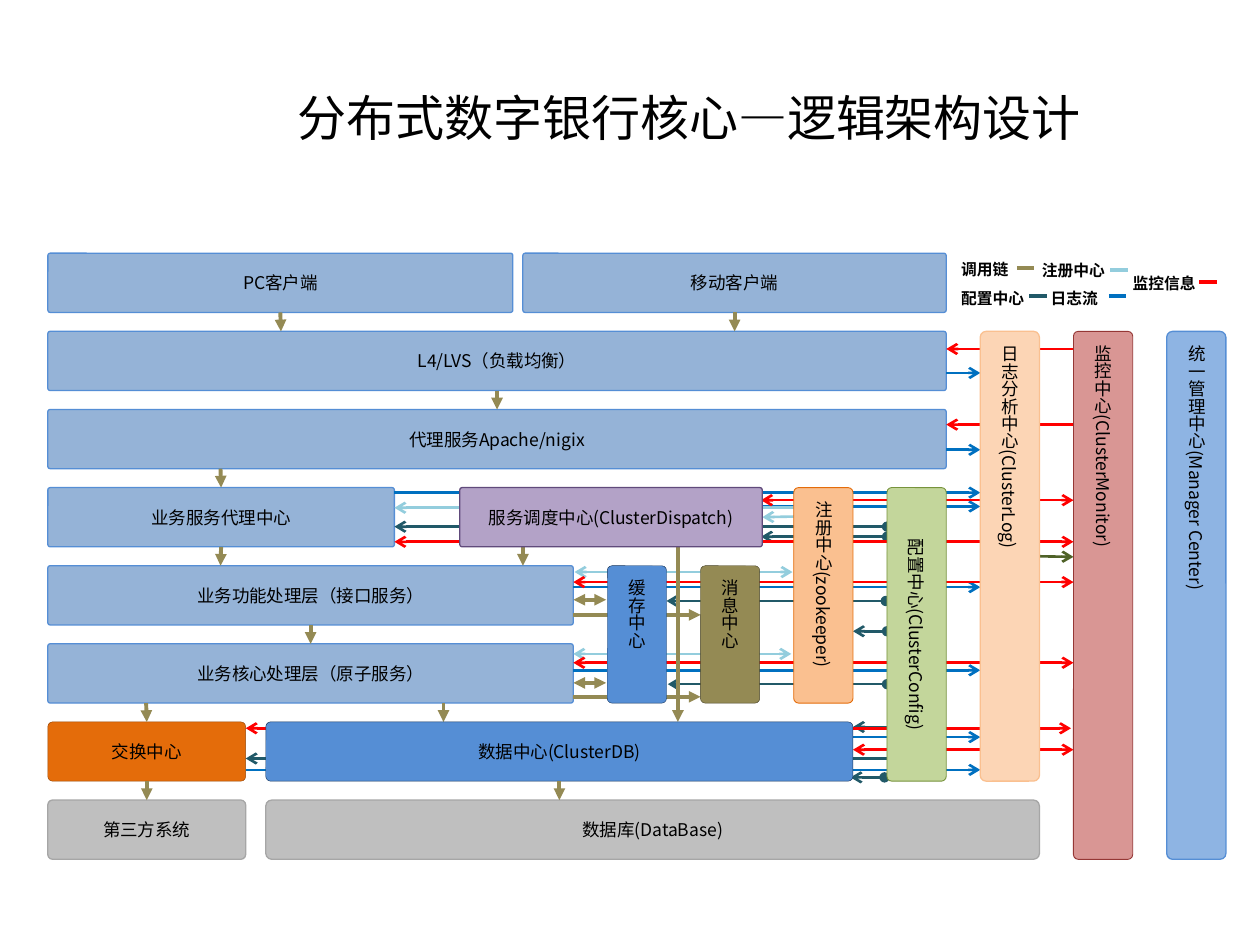
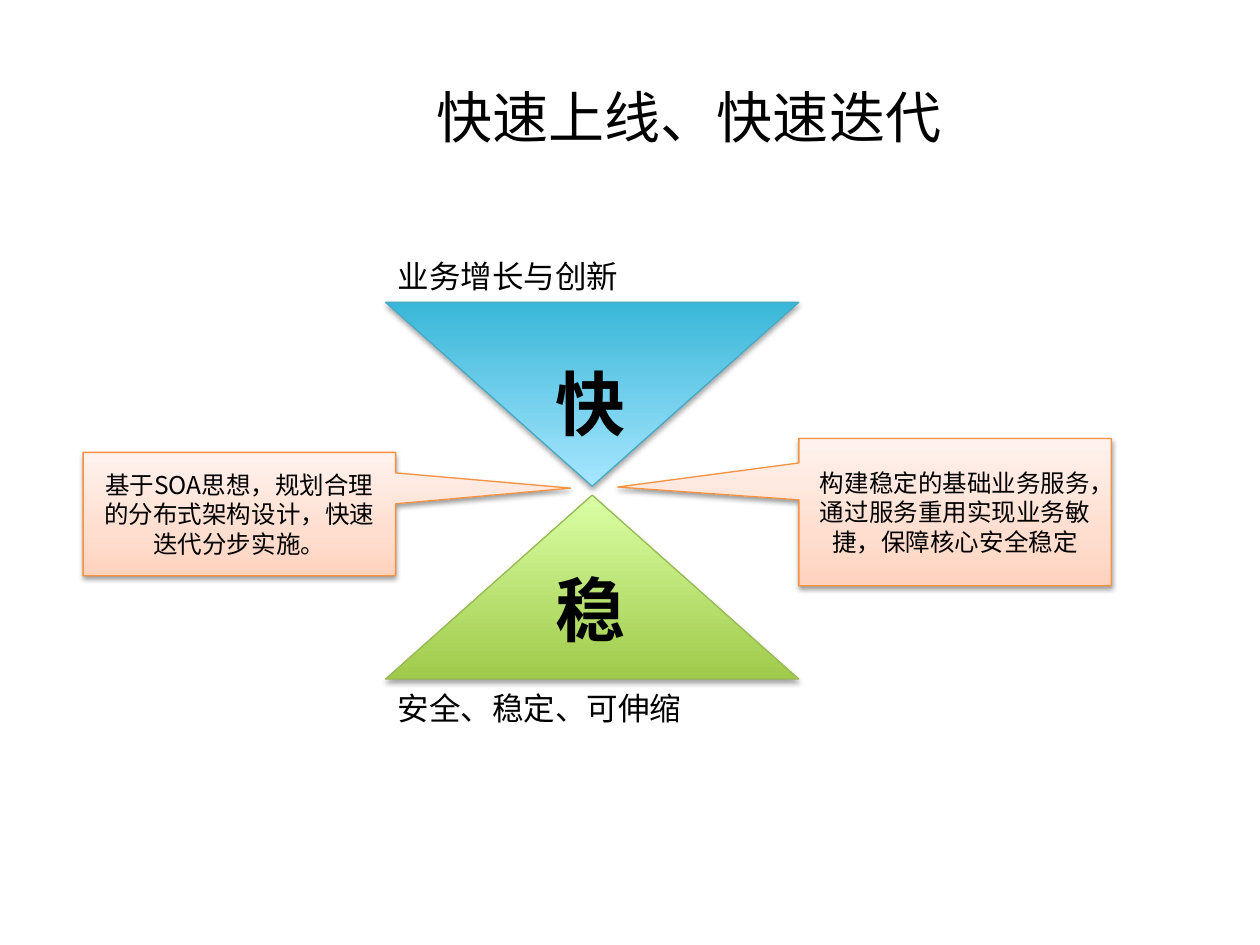
from copy import deepcopy
from lxml import etree
from pptx import Presentation, util as u
from pptx.dml.color import RGBColor
from pptx.enum import shapes, text
from pptx.oxml.ns import qn

FONT = "Noto Sans CJK SC"
BLACK = RGBColor(0x00, 0x00, 0x00)
STEEL = RGBColor(0x95, 0xB3, 0xD7)
BLUE = RGBColor(0x55, 0x8E, 0xD5)
SKY = RGBColor(0x8E, 0xB4, 0xE3)
NAVY = RGBColor(0x17, 0x37, 0x5E)
GREY = RGBColor(0xBF, 0xBF, 0xBF)
ASH = RGBColor(0xA6, 0xA6, 0xA6)
ROSE = RGBColor(0xD9, 0x96, 0x94)
WINE = RGBColor(0x95, 0x37, 0x35)
RUST = RGBColor(0xE4, 0x6C, 0x0A)
BROWN = RGBColor(0x98, 0x48, 0x07)
LILAC = RGBColor(0xB3, 0xA2, 0xC7)
PLUM = RGBColor(0x60, 0x4A, 0x7B)
CREAM = RGBColor(0xFC, 0xD5, 0xB5)
PEACH = RGBColor(0xFA, 0xC0, 0x90)
LEAF = RGBColor(0xC3, 0xD6, 0x9B)
MOSS = RGBColor(0x77, 0x93, 0x3C)
TAN = RGBColor(0x94, 0x8A, 0x54)
UMBER = RGBColor(0x4A, 0x45, 0x2A)
OLIVE = RGBColor(0x4F, 0x62, 0x28)
RED = RGBColor(0xFF, 0x00, 0x00)
INK = RGBColor(0x00, 0x70, 0xC0)
AQUA = RGBColor(0x93, 0xCD, 0xDD)
TEAL = RGBColor(0x21, 0x59, 0x68)
LAKE = RGBColor(0x46, 0xAA, 0xC5)
LIME = RGBColor(0x98, 0xB9, 0x55)
AMBER = RGBColor(0xF6, 0x92, 0x40)
COOL = [(0, RGBColor(0x39, 0xB7, 0xD8)), (1, RGBColor(0xA7, 0xE6, 0xFF))]
FRESH = [(0, RGBColor(0xA0, 0xCA, 0x4A)), (1, RGBColor(0xDA, 0xFF, 0xA5))]
WARM = [(0, RGBColor(0xFF, 0xD2, 0xBD)), (0.35, RGBColor(0xFF, 0xDE, 0xD0)),
        (1, RGBColor(0xFF, 0xF2, 0xED))]

LEFT, HIGH, GAP = 0.38, 0.47, 0.15
MID = text.PP_ALIGN.CENTER
FORM = shapes.MSO_SHAPE


def row(n):
    return 2.01 + (HIGH + GAP) * n


def col(n):
    return 4.82 + 0.74 * n


def span(n):
    return HIGH + (HIGH + GAP) * (n - 1)


class Deck:
    def __init__(self):
        self.prs = Presentation()
        self.prs.slide_width, self.prs.slide_height = u.Inches(10), u.Inches(7.5)

    def page(self, words, size):
        self.slide = self.prs.slides.add_slide(self.prs.slide_layouts[5])
        head = self.slide.shapes.title
        head.left, head.top = u.Inches(0.94), u.Inches(0.3)
        head.width, head.height = u.Inches(9.06), u.Inches(1.25)
        head.text_frame.vertical_anchor = text.MSO_ANCHOR.MIDDLE
        self.label(head, words, size, MID)

    def label(self, shape, words, size, align=None, bold=None):
        para = shape.text_frame.paragraphs[0]
        para.alignment = align
        run = para.add_run()
        run.text = words
        font = run.font
        font.name, font.size, font.bold = FONT, u.Pt(size), bold
        font.color.rgb = BLACK
        etree.SubElement(run._r.rPr, qn("a:ea"), typeface=FONT)

    def shape(self, form, x, y, w, h, edge, width, *bends):
        item = self.slide.shapes.add_shape(
            form, u.Inches(x), u.Inches(y), u.Inches(w), u.Inches(h))
        for n, bend in enumerate(bends):
            item.adjustments[n] = bend
        item.shadow.inherit = False
        item.line.color.rgb = edge
        item.line.width = u.Pt(width)
        frame = item.text_frame
        frame.word_wrap = True
        frame.vertical_anchor = text.MSO_ANCHOR.MIDDLE
        return item

    def box(self, words, x, y, w, h, fill, edge, width=0.75, bend=0.08, vert=None):
        item = self.shape(FORM.ROUNDED_RECTANGLE, x, y, w, h, edge, width, bend)
        item.fill.solid()
        item.fill.fore_color.rgb = fill
        if vert:
            item.element.txBody.bodyPr.set("vert", vert)
        self.label(item, words, 10, MID)
        return item

    def bar(self, words, n, x, w, fill=STEEL, edge=BLUE, width=0.75, bend=0.04):
        return self.box(words, x, row(n), w, HIGH, fill, edge, width, bend)

    def tower(self, words, n, top, rows, fill, edge, width, bend=0.08, vert="eaVert"):
        return self.box(words, col(n), row(top), HIGH, span(rows),
                        fill, edge, width, bend, vert)

    def glow(self, item, stops, alpha, drop):
        item.fill.gradient()
        item.fill.gradient_angle = 90
        props = item.element.spPr
        marks = props.find(qn("a:gradFill")).find(qn("a:gsLst"))
        if len(stops) > 2:
            marks.append(deepcopy(marks[-1]))
        for stop, (place, tint) in zip(item.fill.gradient_stops, stops):
            stop.position, stop.color.rgb = place, tint
        shade = etree.SubElement(
            props.find(qn("a:effectLst")), qn("a:outerShdw"),
            blurRad=str(u.Pt(3.1)), dist=str(u.Pt(drop)),
            dir="5400000", rotWithShape="0")
        tint = etree.SubElement(shade, qn("a:srgbClr"), val=str(BLACK))
        etree.SubElement(tint, qn("a:alpha"), val=str(alpha * 1000))

    def line(self, tint, x, y, x2, y2, head=None, tail=None, width=1.5):
        item = self.slide.shapes.add_connector(
            shapes.MSO_CONNECTOR.STRAIGHT,
            u.Inches(x), u.Inches(y), u.Inches(x2), u.Inches(y2))
        item.line.color.rgb = tint
        item.line.width = u.Pt(width)
        props = item.element.spPr
        for tag, kind in (("a:headEnd", head), ("a:tailEnd", tail)):
            if kind:
                etree.SubElement(props.find(qn("a:ln")), qn(tag), type=kind)
        etree.SubElement(props, qn("a:effectLst"))
        return item

    def drop(self, n, x, above=None, below=None, rows=1):
        item = self.line(TAN, x, row(n) + HIGH, x, row(n + rows),
                         None, "triangle", 2.25)
        if above:
            item.begin_connect(above, 2)
        if below:
            item.end_connect(below, 0)

    def note(self, words, x, y, w, h, size, bold=None, wrap=False, align=None):
        item = self.slide.shapes.add_textbox(
            u.Inches(x), u.Inches(y), u.Inches(w), u.Inches(h))
        item.text_frame.word_wrap = wrap
        item.text_frame.auto_size = text.MSO_AUTO_SIZE.SHAPE_TO_FIT_TEXT
        self.label(item, words, size, align, bold)

    def peak(self, y, edge, stops, flip=False):
        item = self.shape(FORM.ISOSCELES_TRIANGLE, 3.06, y, 3.28, 1.46, edge, 0.75)
        if flip:
            item.element.spPr.xfrm.set("flipV", "1")
        self.glow(item, stops, 35, 1.8)

    def call(self, words, x, y, h, *bends):
        item = self.shape(FORM.RECTANGULAR_CALLOUT, x, y, 2.48, h, AMBER, 0.75, *bends)
        self.glow(item, WARM, 38, 1.6)
        self.label(item, words, 14, MID)


FLOWS = [
    (INK, None, "arrow", [
        (7.51, 7.78, 2.96), (7.51, 7.78, 3.57), (6.04, 7.78, 4.02),
        (3.13, 7.78, 3.91), (6.77, 7.78, 5.85), (1.95, 7.78, 6.11),
        (4.55, 7.78, 4.66), (4.55, 7.78, 5.32)]),
    (AQUA, None, "arrow", [(6.3, 3.13, 4.03)]),
    (AQUA, "arrow", "arrow", [(4.56, 6.29, 4.54), (4.55, 6.28, 5.19)]),
    (TEAL, "oval", "arrow", [
        (7.04, 3.13, 4.18), (7.04, 6.04, 4.26), (7.04, 6.77, 5.01),
        (7.02, 6.75, 6.17), (7.03, 5.29, 4.77), (7.04, 5.3, 5.43)]),
    (TEAL, None, "arrow", [(7.04, 6.77, 5.77), (7.04, 1.95, 6.02)]),
    (RED, None, "arrow", [(8.52, 7.51, 2.77), (8.52, 7.51, 3.37)]),
    (RED, "arrow", "arrow", [
        (6.77, 8.52, 5.95), (1.95, 8.5, 5.78), (4.55, 8.52, 5.26),
        (4.55, 8.52, 4.62), (6.04, 8.52, 3.97), (3.13, 8.52, 4.3)]),
]

KEYS = [
    ("调用链", 7.53, 2.01, 0.58, 8.07, TAN),
    ("注册中心", 8.17, 2.02, 0.71, 8.81, AQUA),
    ("配置中心", 7.53, 2.24, 0.71, 8.17, TEAL),
    ("日志流", 8.24, 2.24, 0.58, 8.8, INK),
    ("监控信息", 8.89, 2.12, 0.71, 9.52, RED),
]


def design(deck):
    deck.page("分布式数字银行核心—逻辑架构设计", 28)
    deck.tower("统一管理中心(Manager Center)", 6, 1, 7, SKY, BLUE, 0.75, 0.1)
    core = deck.bar("业务核心处理层（原子服务）", 5, LEFT, 4.17)
    deck.bar("数据库(DataBase)", 7, 2.11, 6.14, GREY, ASH, bend=0.1)
    task = deck.bar("业务功能处理层（接口服务）", 4, LEFT, 4.17)
    agent = deck.bar("业务服务代理中心", 3, LEFT, 2.75)
    load = deck.bar("L4/LVS（负载均衡）", 1, LEFT, 7.13)
    desk = deck.bar("PC客户端", 0, LEFT, 3.69)
    phone = deck.bar("移动客户端", 0, 4.15, 3.36)
    proxy = deck.bar("代理服务Apache/nigix", 2, LEFT, 7.13)
    deck.tower("监控中心(ClusterMonitor)", 5, 1, 7, ROSE, WINE, 0.5)
    swap = deck.bar("交换中心", 6, LEFT, 1.57, RUST, BROWN, 0.25, 0.08)
    third = deck.bar("第三方系统", 7, LEFT, 1.57, GREY, ASH, bend=0.08)

    for tint, head, tail, runs in FLOWS:
        for x, x2, y in runs:
            deck.line(tint, x, y, x2, y, head, tail)
    for y in (4.76, 5.42):
        deck.line(TAN, 4.55, y, 4.81, y, "triangle", "triangle", 2.25)
    for y in (4.88, 5.53):
        deck.line(TAN, 4.55, y, 5.56, y, None, "triangle", 2.25)
    to_watch = deck.line(OLIVE, 8.25, 4.42, 8.52, 4.42, None, "arrow")
    to_hub = deck.line(AQUA, 6.3, 4.1, 6.04, 4.1, None, "arrow")

    deck.drop(0, 2.23, desk)
    deck.drop(0, 5.83, phone)
    deck.drop(1, 3.94, load, proxy)
    deck.drop(2, 1.75, below=agent)
    deck.drop(3, 1.75, agent)
    deck.drop(3, 4.15)
    deck.drop(4, 2.46, task, core)
    deck.drop(5, 1.16, below=swap)
    deck.drop(6, 1.16, swap, third)
    deck.drop(5, 3.52)
    deck.drop(3, 5.38, rows=3)

    hub = deck.bar("服务调度中心(ClusterDispatch)", 3, 3.65, 2.4, LILAC, PLUM)
    deck.tower("缓存中心", 0, 4, 2, BLUE, NAVY, 0.25)
    log = deck.tower("日志分析中心(ClusterLog)", 4, 1, 6, CREAM, PEACH, 0.75, 0.1)
    data = deck.bar("数据中心(ClusterDB)", 6, 2.11, 4.66, BLUE, NAVY, 0.25, 0.08)
    deck.tower("配置中心(ClusterConfig)", 3, 3, 4, LEAF, MOSS, 0.5, vert="vert")
    deck.tower("注册中心(zookeeper)", 2, 3, 3, PEACH, RUST, 0.5)
    deck.tower("消息中心", 1, 4, 2, TAN, UMBER, 0.25)
    deck.drop(6, 4.44, data)
    to_hub.end_connect(hub, 3)
    to_watch.begin_connect(log, 3)

    for words, x, y, w, dash, tint in KEYS:
        deck.note(words, x, y, w, 0.25, 9, True)
        level = y + (0.12 if y < 2.2 else 0.11)
        deck.line(tint, dash, level, dash + 0.14, level, width=2.25)


def pace(deck):
    deck.page("快速上线、快速迭代", 32)
    deck.peak(2.4, LAKE, COOL, True)
    deck.peak(3.93, LIME, FRESH)
    for words, y in (("业务增长与创新", 1.99), ("安全、稳定、可伸缩", 5.42)):
        deck.note(words, 3.06, y, 3.28, 0.4, 18, None, True, text.PP_ALIGN.JUSTIFY)
    for words, y in (("快", 2.81), ("稳", 4.45)):
        deck.note(words, 4.31, y, 0.76, 0.77, 40, True)
    deck.call("构建稳定的基础业务服务，通过服务重用实现业务敏捷，保障核心安全稳定",
              6.34, 3.48, 1.17, -1.08, -0.17)
    deck.call("基于SOA思想，规划合理的分布式架构设计，快速迭代分步实施。",
              0.66, 3.59, 0.98, 1.06, -0.21)


def main():
    deck = Deck()
    design(deck)
    pace(deck)
    deck.prs.save("out.pptx")


if __name__ == "__main__":
    main()
